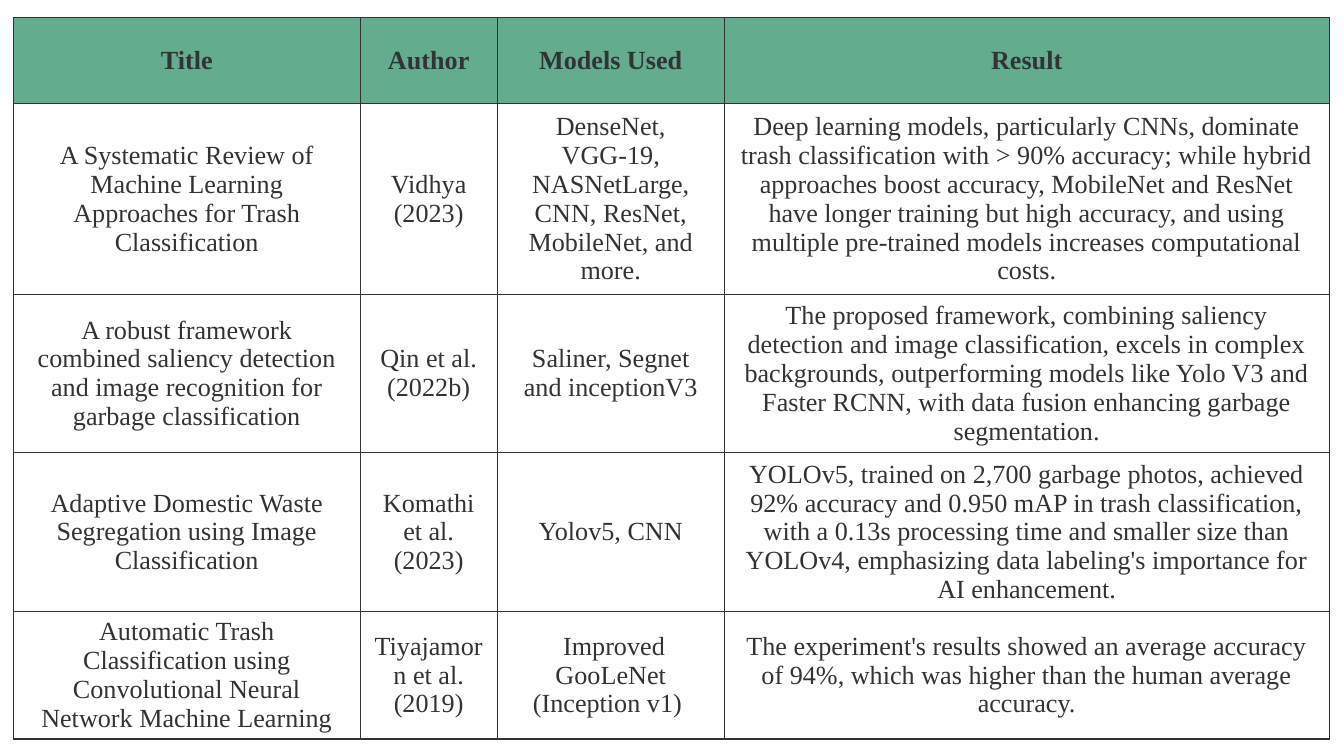
from dataclasses import dataclass

from lxml import etree
from pptx import Presentation
from pptx import util as u
from pptx.dml import color
from pptx.enum import text
from pptx.oxml import ns


@dataclass(frozen=True)
class Theme:
    """Colours, type and line sizes of the slide."""
    ink: str = "333333"
    header: str = "63AC8D"
    body: str = "FFFFFF"
    font: str = "Times New Roman"
    size: float = 14
    border: float = 0.75


THEME = Theme()
SLIDE_WIDTH = u.Inches(10)
SLIDE_HEIGHT = SLIDE_WIDTH * 9 // 16
COLUMN_WIDTHS = [2.58, 1.02, 1.69, 4.5]
ROW_HEIGHTS = [0.64, 1.42, 1.18, 1.18, 0.95]
STUDIES = [
    ("Title", "Author", "Models Used", "Result"),
    (
        "A Systematic Review of Machine Learning Approaches for Trash Classification",
        "Vidhya (2023)",
        "DenseNet, VGG-19, NASNetLarge, CNN, ResNet, MobileNet, and more.",
        "Deep learning models, particularly CNNs, dominate trash classification with "
        "> 90% accuracy; while hybrid approaches boost accuracy, MobileNet and ResNet "
        "have longer training but high accuracy, and using multiple pre-trained models "
        "increases computational costs.",
    ),
    (
        "A robust framework combined saliency detection and image recognition for "
        "garbage classification",
        "Qin et al. (2022b)",
        "Saliner, Segnet and inceptionV3",
        "The proposed framework, combining saliency detection and image classification, "
        "excels in complex backgrounds, outperforming models like Yolo V3 and Faster "
        "RCNN, with data fusion enhancing garbage segmentation.",
    ),
    (
        "Adaptive Domestic Waste Segregation using Image Classification",
        "Komathi et al. (2023)",
        "Yolov5, CNN",
        "YOLOv5, trained on 2,700 garbage photos, achieved 92% accuracy and 0.950 mAP "
        "in trash classification, with a 0.13s processing time and smaller size than "
        "YOLOv4, emphasizing data labeling's importance for AI enhancement.",
    ),
    (
        "Automatic Trash Classification using Convolutional Neural Network Machine Learning",
        "Tiyajamorn et al. (2019)",
        " Improved GooLeNet (Inception v1) ",
        "The experiment's results showed an average accuracy of 94%, which was higher "
        "than the human average accuracy.",
    ),
]


def apply_format(target, values):
    """Set each named attribute on the target."""
    for name, value in values.items():
        setattr(target, name, value)


def add_borders(cell):
    """Draw a thin line on all four sides of a cell."""
    properties = cell._tc.get_or_add_tcPr()
    for side in ("a:lnL", "a:lnR", "a:lnT", "a:lnB"):
        line = etree.SubElement(properties, ns.qn(side), w=str(u.Pt(THEME.border)))
        fill = etree.SubElement(line, ns.qn("a:solidFill"))
        etree.SubElement(fill, ns.qn("a:srgbClr"), val=THEME.ink)


def fill_cell(cell, wording, is_header):
    """Write and format one table cell."""
    add_borders(cell)
    cell.fill.solid()
    cell.fill.fore_color.rgb = color.RGBColor.from_string(
        THEME.header if is_header else THEME.body)
    apply_format(cell, {
        "vertical_anchor": text.MSO_ANCHOR.MIDDLE,
        "margin_left": u.Inches(0.1),
        "margin_right": u.Inches(0.1),
        "margin_top": 0,
        "margin_bottom": 0,
    })
    para = cell.text_frame.paragraphs[0]
    para.alignment = text.PP_ALIGN.CENTER
    span = para.add_run()
    span.text = wording
    apply_format(span.font, {
        "name": THEME.font, "size": u.Pt(THEME.size), "bold": is_header})
    span.font.color.rgb = color.RGBColor.from_string(THEME.ink)


def add_study_table(page):
    """Add the literature table with its column and row sizes."""
    frame = page.shapes.add_table(
        len(ROW_HEIGHTS), len(COLUMN_WIDTHS), u.Inches(0.1), u.Inches(0.13),
        u.Inches(sum(COLUMN_WIDTHS)), u.Inches(sum(ROW_HEIGHTS)))
    table = frame.table
    apply_format(table, {"first_row": True, "horz_banding": False})
    for column, width in zip(table.columns, COLUMN_WIDTHS):
        column.width = u.Inches(width)
    for index, (row, height) in enumerate(zip(table.rows, ROW_HEIGHTS)):
        row.height = u.Inches(height)
        for cell, wording in zip(row.cells, STUDIES[index]):
            fill_cell(cell, wording, index == 0)


def main():
    """Build and save the slide."""
    deck = Presentation()
    apply_format(deck, {"slide_width": SLIDE_WIDTH, "slide_height": SLIDE_HEIGHT})
    page = deck.slides.add_slide(deck.slide_layouts[6])
    add_study_table(page)
    deck.save("out.pptx")


if __name__ == "__main__":
    main()
